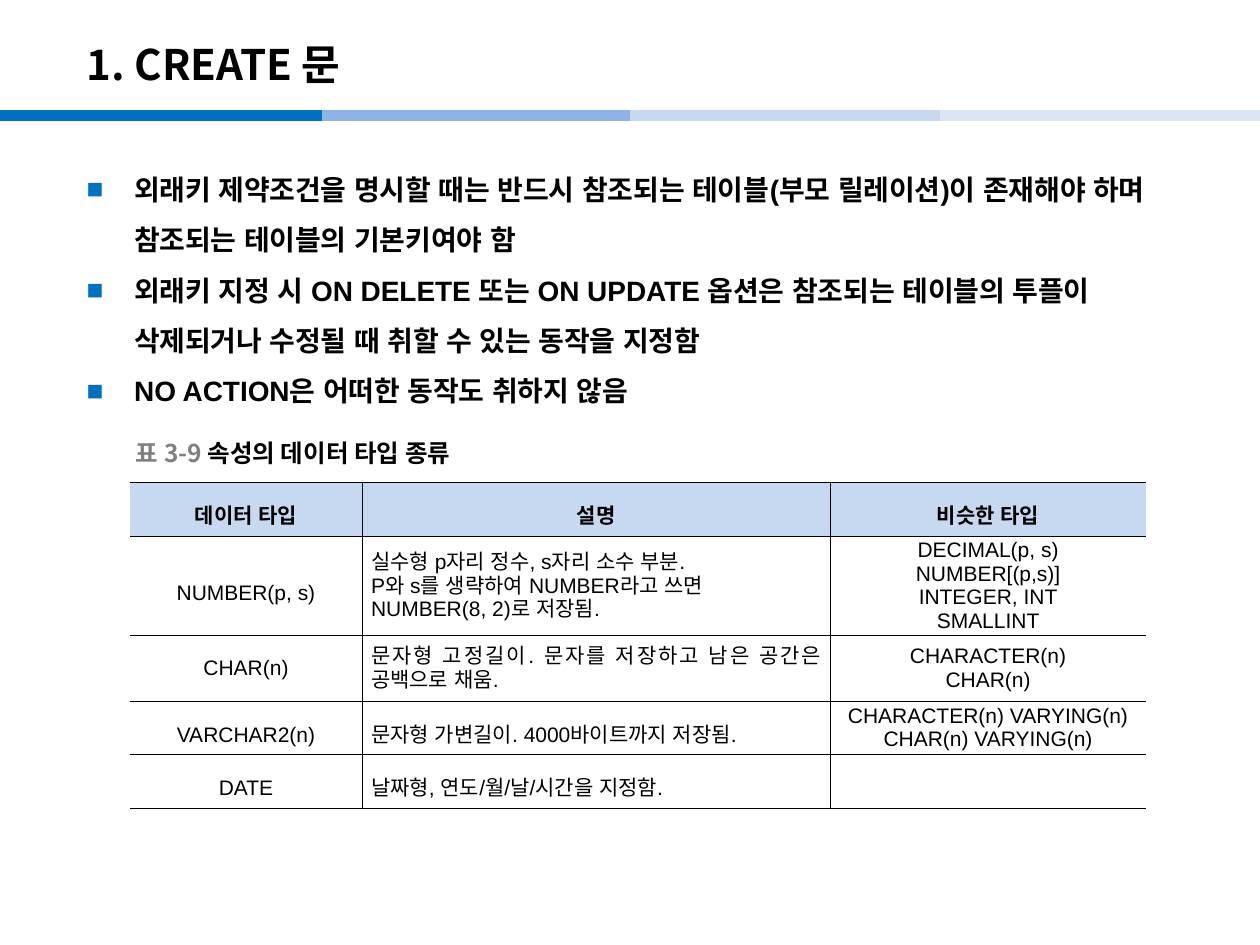
from lxml import etree
from pptx import Presentation
from pptx.dml.color import RGBColor
from pptx.enum.shapes import MSO_CONNECTOR
from pptx.enum.text import MSO_ANCHOR, MSO_AUTO_SIZE, PP_ALIGN
from pptx.oxml import parse_xml
from pptx.oxml.ns import nsdecls, qn
from pptx.util import Cm, Pt

STRAIGHT = MSO_CONNECTOR.STRAIGHT
MIDDLE, TOP = MSO_ANCHOR.MIDDLE, MSO_ANCHOR.TOP
LEFT, CENTER, JUSTIFY = PP_ALIGN.LEFT, PP_ALIGN.CENTER, PP_ALIGN.JUSTIFY
NO_AUTOFIT = MSO_AUTO_SIZE.NONE
KOREAN_FONT = "Noto Sans CJK KR"
BLACK, BLUE, PALE_BLUE, GRAY = "000000", "0070C0", "C6D9F1", "808080"


def color(hex_string):
    return RGBColor.from_string(hex_string)


def add_run(paragraph, text, size, name="Arial", bold=False, hex_string=BLACK):
    run = paragraph.add_run()
    run.text = text
    for attribute, value in {"size": Pt(size), "bold": bold, "name": name}.items():
        setattr(run.font, attribute, value)
    run.font.color.rgb = color(hex_string)
    etree.SubElement(run.font._element, qn("a:ea"), typeface=name)


presentation = Presentation()
presentation.slide_width, presentation.slide_height = Cm(25.4), Cm(19.05)
slide = presentation.slides.add_slide(presentation.slide_layouts[1])
title, body = slide.placeholders

# Title and bulleted list
placements = [
    (title, (1.49, 0.53, 21, 1.52), MIDDLE),
    (body, (1.49, 3.01, 22.1, 15.19), TOP),
]
for shape, (left, top, width, height), anchor in placements:
    box = {"left": left, "top": top, "width": width, "height": height}
    for attribute, value in box.items():
        setattr(shape, attribute, Cm(value))
    shape.text_frame.vertical_anchor = anchor
    shape.text_frame.auto_size = NO_AUTOFIT

title_paragraph = title.text_frame.paragraphs[0]
title_paragraph.alignment = LEFT
add_run(title_paragraph, "1. CREATE 문", 24, KOREAN_FONT, True)

bullets = [
    "외래키 제약조건을 명시할 때는 반드시 참조되는 테이블(부모 릴레이션)이 존재해야 하며 참조되는 테이블의 기본키여야 함",
    "외래키 지정 시 ON DELETE 또는 ON UPDATE 옵션은 참조되는 테이블의 투플이 삭제되거나 수정될 때 취할 수 있는 동작을 지정함",
    "NO ACTION은 어떠한 동작도 취하지 않음",
]
for index, text in enumerate(bullets):
    frame = body.text_frame
    paragraph = frame.add_paragraph() if index else frame.paragraphs[0]
    paragraph.line_spacing = 1.5
    paragraph.space_before = Pt(0)
    properties = paragraph._p.get_or_add_pPr()
    properties.set("marL", str(Cm(0.96)))
    properties.set("indent", str(-Cm(0.96)))
    bullet_color = etree.SubElement(properties, qn("a:buClr"))
    etree.SubElement(bullet_color, qn("a:srgbClr"), val=BLUE)
    etree.SubElement(properties, qn("a:buFont"), typeface="Arial")
    etree.SubElement(properties, qn("a:buChar"), char="■")
    add_run(paragraph, text, 16, bold=True)

# Four-tone rule below the title
rule_segments = [(0, BLUE), (6.5, "8EB4E3"), (12.7, PALE_BLUE), (18.95, "DCE6F2")]
for left, hex_string in rule_segments:
    segment = slide.shapes.add_connector(
        STRAIGHT, Cm(left), Cm(2.33), Cm(left + 6.5), Cm(2.33))
    segment.line.color.rgb = color(hex_string)
    segment.line.width = Pt(6)
    etree.SubElement(segment._element.spPr, qn("a:effectLst"))

# Data type table; each cell lists its paragraphs
rows = [
    (["데이터 타입"], ["설명"], ["비슷한 타입"]),
    (["NUMBER(p, s)"],
     ["실수형 p자리 정수, s자리 소수 부분.",
      "P와 s를 생략하여 NUMBER라고 쓰면",
      "NUMBER(8, 2)로 저장됨."],
     ["DECIMAL(p, s)", "NUMBER[(p,s)]", "INTEGER, INT", "SMALLINT"]),
    (["CHAR(n)"],
     ["문자형 고정길이. 문자를 저장하고 남은 공간은 공백으로 채움."],
     ["CHARACTER(n)", "CHAR(n)"]),
    (["VARCHAR2(n)"],
     ["문자형 가변길이. 4000바이트까지 저장됨."],
     ["CHARACTER(n) VARYING(n)", "CHAR(n) VARYING(n)"]),
    (["DATE"], ["날짜형, 연도/월/날/시간을 지정함."], []),
]
column_widths = [4.68, 9.44, 6.36]
row_heights = [1.08, 1.99, 1.33, 1.07, 1.08]
table = slide.shapes.add_table(
    len(rows), len(column_widths), Cm(2.62), Cm(9.73),
    Cm(sum(column_widths)), Cm(sum(row_heights))).table
table.first_row = table.horz_banding = False
for column, width in zip(table.columns, column_widths):
    column.width = Cm(width)
for row, height in zip(table.rows, row_heights):
    row.height = Cm(height)

cell_format = {
    "vertical_anchor": MIDDLE,
    "margin_left": Cm(0.18), "margin_right": Cm(0.18),
    "margin_top": Cm(0.05), "margin_bottom": Cm(0.05),
}
last_column = len(column_widths) - 1
for row_index, row in enumerate(rows):
    header = row_index == 0
    for column_index, lines in enumerate(row):
        cell = table.cell(row_index, column_index)
        for attribute, value in cell_format.items():
            setattr(cell, attribute, value)
        if header:
            cell.fill.solid()
            cell.fill.fore_color.rgb = color(PALE_BLUE)
        else:
            cell.fill.background()

        open_side = {0: "lnL", last_column: "lnR"}.get(column_index)
        for position, side in enumerate(["lnL", "lnR", "lnT", "lnB"]):
            fill = (f'<a:solidFill><a:srgbClr val="{BLACK}"/></a:solidFill>'
                    if side != open_side else "<a:noFill/>")
            border = parse_xml(
                f'<a:{side} {nsdecls("a")} w="{Pt(0.28)}">{fill}</a:{side}>')
            cell._tc.get_or_add_tcPr().insert(position, border)

        loose = header or (len(lines) == 1 and row_index != 2)
        for index, text in enumerate(lines):
            frame = cell.text_frame
            paragraph = frame.add_paragraph() if index else frame.paragraphs[0]
            paragraph.alignment = JUSTIFY if column_index == 1 and not header else CENTER
            paragraph.line_spacing = 1.6 if loose else 1.0
            add_run(paragraph, text, 12, bold=header)

# Table caption
caption = slide.shapes.add_textbox(Cm(2.49), Cm(8.74), Cm(8), Cm(0.79))
caption.text_frame.word_wrap = True
caption.text_frame.vertical_anchor = MIDDLE
caption_paragraph = caption.text_frame.paragraphs[0]
add_run(caption_paragraph, "표 3-9 ", 14, KOREAN_FONT, True, GRAY)
add_run(caption_paragraph, "속성의 데이터 타입 종류", 14, KOREAN_FONT, True)

presentation.save("out.pptx")
